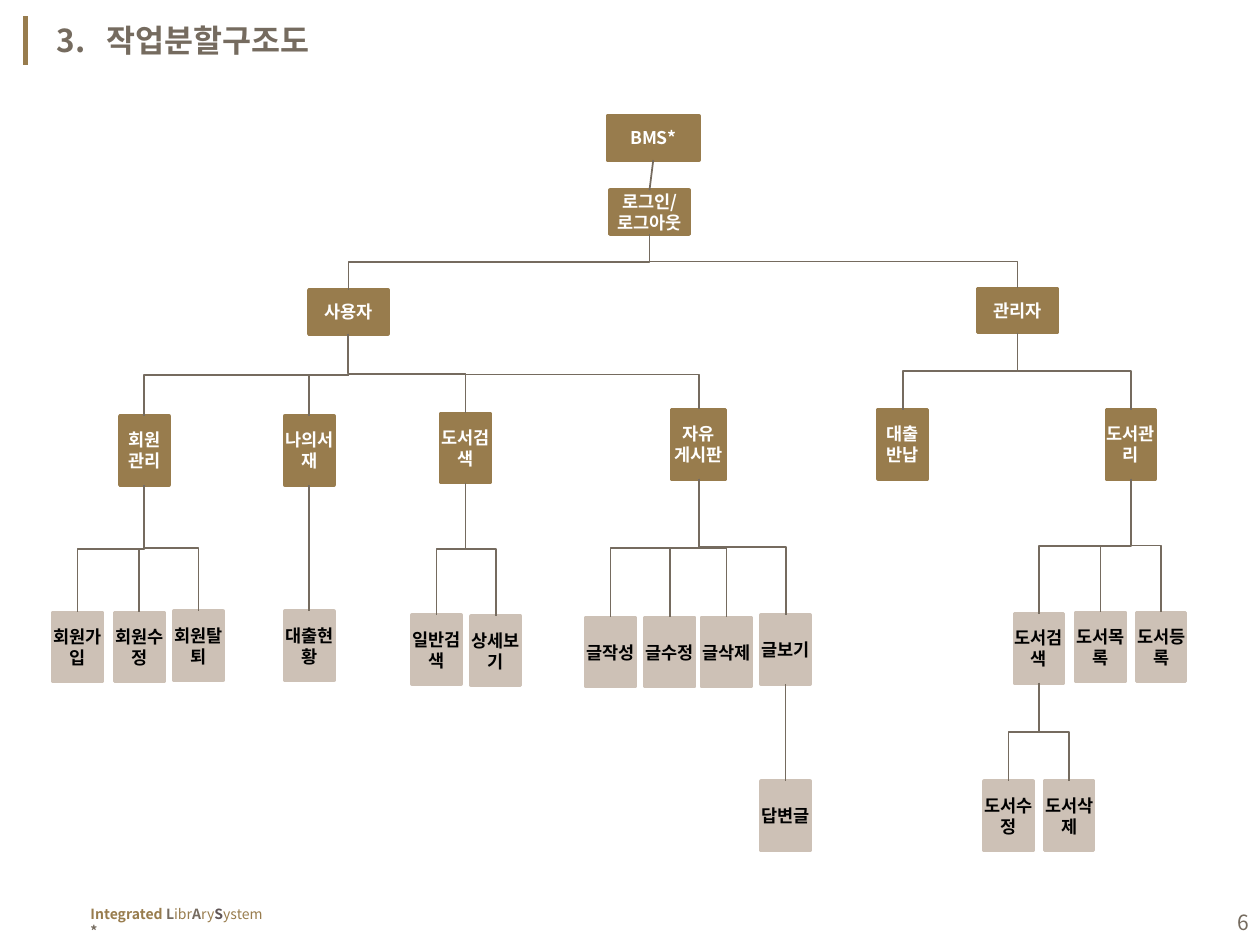
from dataclasses import dataclass, field

from lxml import etree
from pptx import Presentation
from pptx.dml.color import RGBColor
from pptx.enum.shapes import MSO_CONNECTOR, MSO_SHAPE
from pptx.enum.text import MSO_ANCHOR, PP_ALIGN
from pptx.oxml.ns import qn
from pptx.util import Inches, Pt

FONT = "Noto Sans CJK KR"
GOLD, BROWN, GREY, SAND = "987C4D", "756B5F", "5F5556", "CDC1B6"
WHITE, BLACK = "FFFFFF", "000000"

# (width, height) of a box at each depth of the tree
BOX_SIZES = [(0.73, 0.35), (0.63, 0.35), (0.63, 0.35), (0.39, 0.55)]
FIRST_LIGHT_DEPTH = 4


@dataclass
class Node:
    text: str
    left: float
    top: float
    children: list = field(default_factory=list)
    width: float = None
    bend: float = 0.5  # share of the way down where the line from the parent turns


USER = Node("사용자", 2.45, 2.3, [
    Node("회원\n관리", 0.95, 3.3, [
        Node("회원가입", 0.42, 4.86),
        Node("회원수정", 0.91, 4.86),
        Node("회원탈퇴", 1.38, 4.85),
    ]),
    Node("나의서재", 2.26, 3.3, [Node("대출현황", 2.26, 4.85)]),
    Node("도서검색", 3.5, 3.28, [
        Node("일반검색", 3.27, 4.88),
        Node("상세보기", 3.74, 4.89),
    ]),
    Node("자유\n게시판", 5.33, 3.25, [
        Node("글작성", 4.65, 4.9),
        Node("글수정", 5.12, 4.9),
        Node("글삭제", 5.57, 4.9),
        Node("글보기", 6.04, 4.88, [Node("답변글", 6.04, 6.2)]),
    ], width=0.43, bend=0.54),
])
ADMIN = Node("관리자", 7.76, 2.29, [
    Node("대출\n반납", 6.97, 3.25),
    Node("도서관리", 8.78, 3.25, [
        Node("도서검색", 8.05, 4.87, [
            Node("도서수정", 7.81, 6.2),
            Node("도서삭제", 8.29, 6.2),
        ]),
        Node("도서목록", 8.54, 4.86),
        Node("도서등록", 9.02, 4.86),
    ]),
])
TREE = Node("BMS*", 4.82, 0.92, [Node("로그인/\n로그아웃", 4.84, 1.51, [USER, ADMIN])])


def rgb(value):
    return RGBColor.from_string(value)


class Sheet:
    def __init__(self, slide):
        self.slide = slide
        self.shapes = slide.shapes

    def font(self, font, size, color, bold):
        font.size, font.bold, font.name = Pt(size), bold, FONT
        font.color.rgb = rgb(color)
        etree.SubElement(font._element, qn("a:ea"), typeface=FONT)

    def text(self, left, top, width, height, text, size, bold=False,
             align=PP_ALIGN.LEFT, anchor=MSO_ANCHOR.TOP):
        sp = self.shapes.add_textbox(*map(Inches, (left, top, width, height)))
        tf = sp.text_frame
        tf.word_wrap, tf.vertical_anchor = True, anchor
        p = tf.paragraphs[0]
        p.text, p.alignment = text, align
        self.font(p.font, size, BROWN, bold)
        return p

    def runs(self, p, pieces, size):
        for text, color, bold in pieces:
            r = p.add_run()
            r.text = text
            self.font(r.font, size, color, bold)

    def box(self, left, top, width, height, text, color, fill):
        sp = self.shapes.add_shape(MSO_SHAPE.RECTANGLE,
                                   *map(Inches, (left, top, width, height)))
        sp.shadow.inherit = False
        sp.fill.solid()
        sp.fill.fore_color.rgb = rgb(fill)
        sp.line.color.rgb, sp.line.width = rgb(fill), Pt(2)
        tf = sp.text_frame
        tf.margin_left = tf.margin_right = tf.margin_top = tf.margin_bottom = 0
        tf.word_wrap, tf.vertical_anchor = True, MSO_ANCHOR.MIDDLE
        tf.text = text
        for p in tf.paragraphs:
            p.alignment = PP_ALIGN.CENTER
            self.font(p.font, 10, color, True)
        return sp

    def connector(self, kind, color=BROWN, weight=1, points=(0, 0, 0, 0)):
        cxn = self.shapes.add_connector(kind, *map(Inches, points))
        cxn.line.color.rgb, cxn.line.width = rgb(color), Pt(weight)
        etree.SubElement(cxn._element.spPr, qn("a:effectLst"))
        return cxn

    def link(self, parent, child, bend):
        """Join the parent's bottom to the child's top, straight or with a bend."""
        x1, y1 = parent.left + parent.width // 2, parent.top + parent.height
        x2, y2 = child.left + child.width // 2, child.top
        straight = abs(x2 - x1) < Inches(0.035)
        cxn = self.connector(MSO_CONNECTOR.STRAIGHT if straight else MSO_CONNECTOR.ELBOW)
        cxn.begin_connect(parent, 2)
        cxn.end_connect(child, 0)
        if not straight:
            self.turn(cxn, x1, y1, x2, y2, bend)

    def turn(self, cxn, x1, y1, x2, y2, bend):
        """Rotate an elbow a quarter turn so that it leaves and arrives vertically."""
        cxn.width, cxn.height = y2 - y1, abs(x2 - x1)
        cxn.left = (x1 + x2 - cxn.width) // 2
        cxn.top = (y1 + y2 - cxn.height) // 2
        xfrm = cxn._element.spPr.find(qn("a:xfrm"))
        for flip in ("flipH", "flipV"):
            xfrm.attrib.pop(flip, None)
        if x2 > x1:
            xfrm.set("rot", "16200000")
            xfrm.set("flipH", "1")
        else:
            xfrm.set("rot", "5400000")
        guides = cxn._element.spPr.find(qn("a:prstGeom")).find(qn("a:avLst"))
        etree.SubElement(guides, qn("a:gd"), name="adj1", fmla=f"val {round(bend * 100000)}")

    def tree(self, node, depth=0):
        width, height = BOX_SIZES[min(depth, len(BOX_SIZES) - 1)]
        color, fill = (BLACK, SAND) if depth >= FIRST_LIGHT_DEPTH else (WHITE, GOLD)
        box = self.box(node.left, node.top, node.width or width, height,
                       node.text, color, fill)
        for child in node.children:
            self.link(box, self.tree(child, depth + 1), child.bend)
        return box


def main():
    prs = Presentation()
    prs.slide_width, prs.slide_height = Inches(10), Inches(7.5)
    s = Sheet(prs.slides.add_slide(prs.slide_layouts[6]))

    s.connector(MSO_CONNECTOR.STRAIGHT, GOLD, 3, (0.2, 0.13, 0.2, 0.52))
    title = s.text(0.35, 0.12, 3.21, 0.4, "3.\t작업분할구조도", 18, bold=True)
    indent = Inches(0.4)
    pPr = title._p.get_or_add_pPr()
    pPr.set("marL", str(indent))
    pPr.set("indent", str(-indent))

    s.tree(TREE)

    footer = s.text(0.62, 7.14, 1.63, 0.24, "", 8)
    s.runs(footer, [
        ("Integrated ", GOLD, True), ("L", BROWN, True), ("ibr", GOLD, False),
        ("A", BROWN, True), ("ry", GOLD, False), ("S", GREY, True),
        ("ystem ", GOLD, False), ("*", BROWN, True),
    ], 8)
    s.text(7.68, 7.12, 2.33, 0.4, "6", 12, align=PP_ALIGN.RIGHT, anchor=MSO_ANCHOR.MIDDLE)

    prs.save("out.pptx")


if __name__ == "__main__":
    main()
